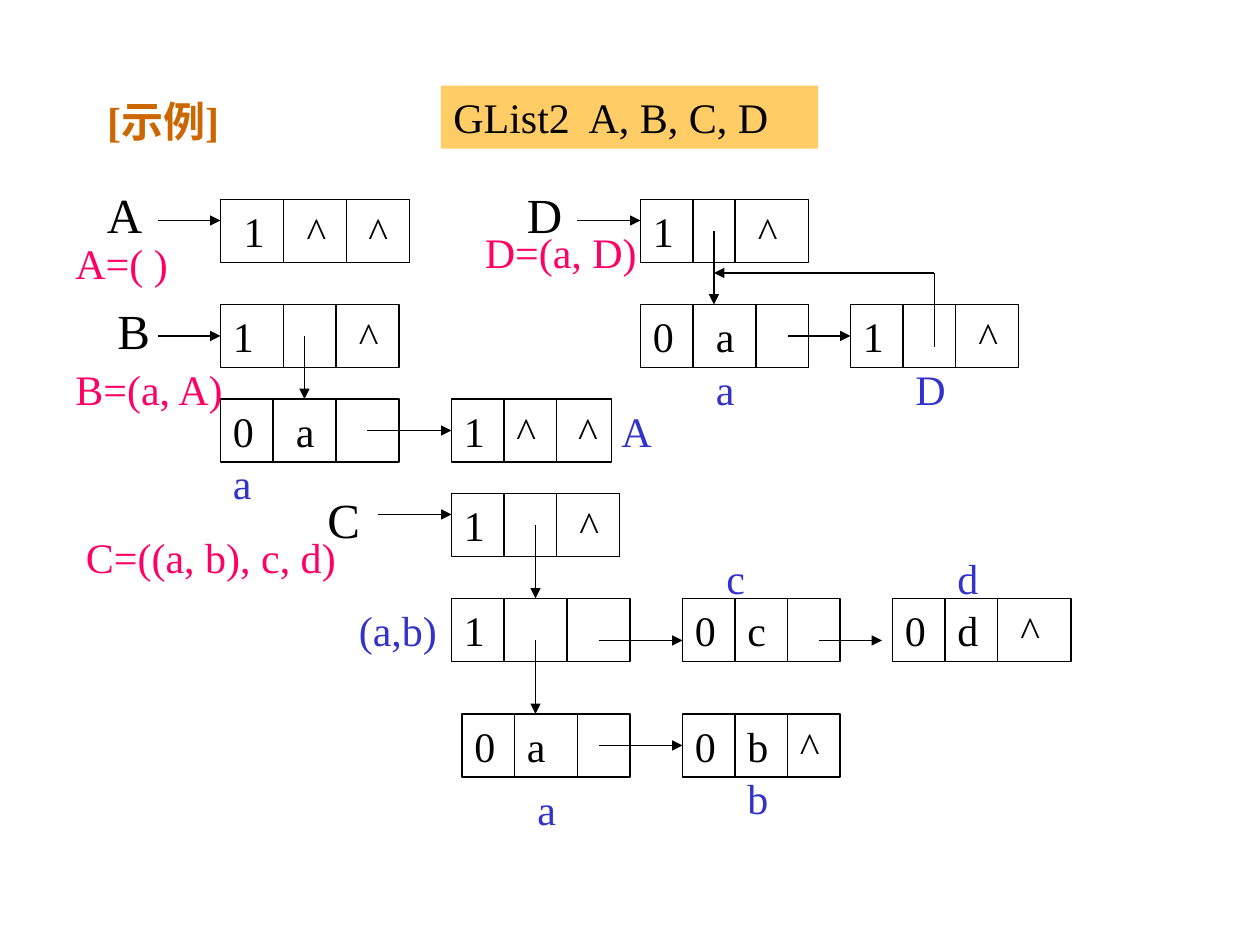
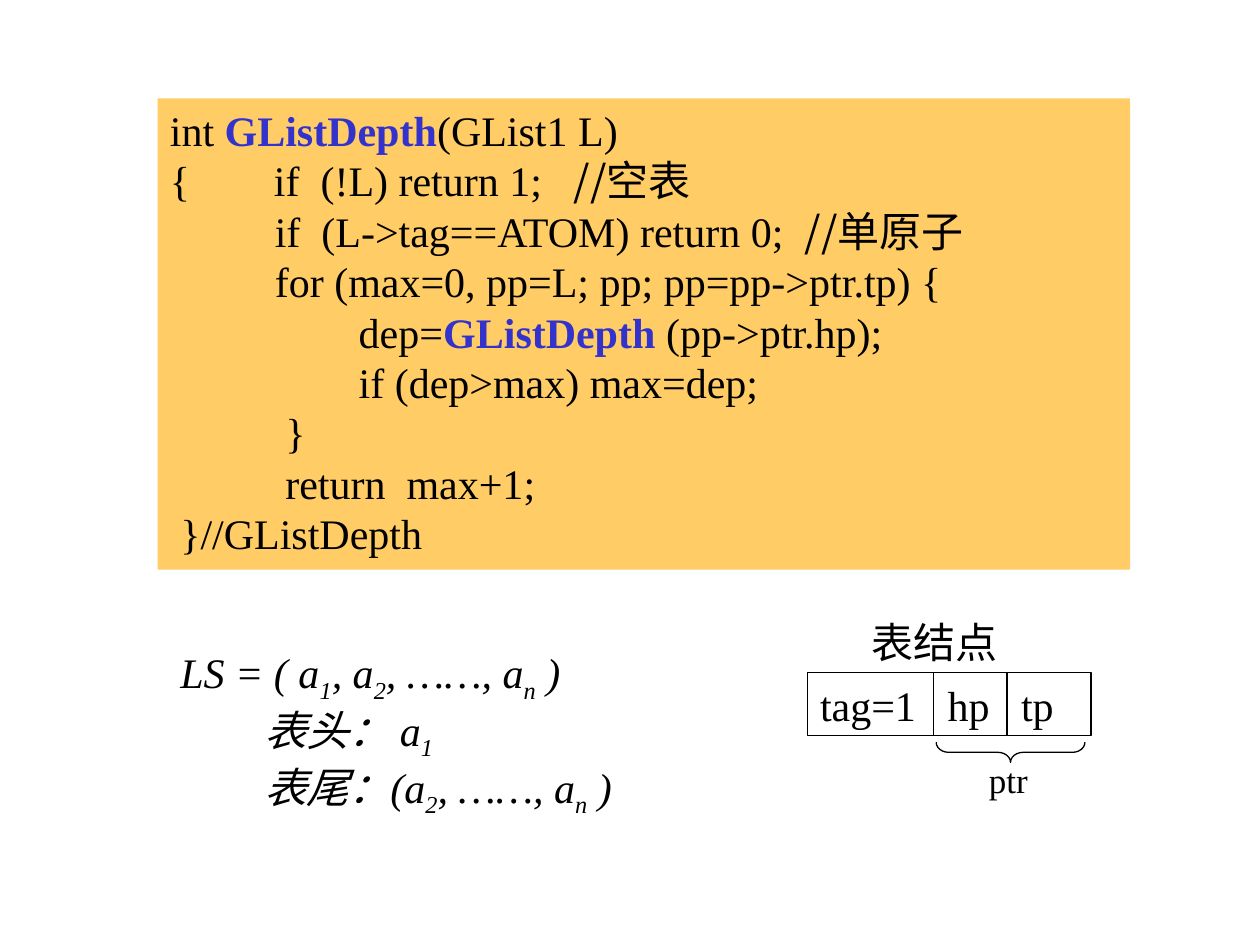
from lxml.etree import SubElement
from pptx import Presentation
from pptx.dml.color import RGBColor
from pptx.enum.shapes import MSO_CONNECTOR as Connector, MSO_SHAPE as Shape
from pptx.enum.text import MSO_ANCHOR as Anchor, PP_ALIGN as Align
from pptx.oxml.ns import qn
from pptx.util import Pt

SERIF, CJK = "Times New Roman", "Noto Sans CJK SC"
BLACK, BLUE, PINK, BROWN, AMBER = "000000", "3333CC", "FF0066", "CC6600", "FFCC66"
TITLE_ONLY, BLANK = 5, 6
LEFT_SIDE = 1
NODE_HEIGHT = 36
INSET = 7.2

# name: left, top, width, divider offsets, cells as (offset from the inset, text)
NODES = {
    "A": (126, 114, 108, (36, 72), [(6, "1"), (42, "^"), (77.3, "^")]),
    "B": (126, 174, 102, (36, 66), [(0, "1"), (72, "^")]),
    "B atom a": (126, 228, 102, (30, 66), [(0, "0"), (36, "a")]),
    "B sublist A": (258, 228, 91.5, (30, 60), [(0, "1"), (30, "^"), (65.3, "^")]),
    "C": (258, 282, 96, (30, 60), [(0, "1"), (66, "^")]),
    "C sublist": (258, 342, 102, (30, 66), [(0, "1")]),
    "C atom c": (390, 342, 90, (30, 60), [(0, "0"), (30, "c")]),
    "C atom d": (510, 342, 102, (30, 60), [(0, "0"), (30, "d"), (66, "^")]),
    "C atom a": (264, 408, 96, (30, 66), [(0, "0"), (30, "a")]),
    "C atom b": (390, 408, 90, (30, 60), [(0, "0"), (30, "b"), (60, "^")]),
    "D": (366, 114, 96, (30, 54), [(0, "1"), (60, "^")]),
    "D atom a": (366, 174, 96, (30, 66), [(0, "0"), (36, "a")]),
    "D sublist D": (486, 174, 96, (30, 60), [(0, "1"), (66, "^")]),
}
# start x, start y, node whose left side is reached
JOINED_ARROWS = [
    (90, 192, "B"), (210, 246, "B sublist A"),
    (342, 426, "C atom b"), (450, 192, "D sublist D"),
]
# start x, start y, end x, end y
FREE_ARROWS = [
    (90, 126, 126, 126), (330, 126, 366, 126), (216, 294, 258, 294),
    (342, 366, 390, 366), (468, 366, 504, 366), (534, 156, 408, 156),
    (174, 192, 174, 228), (306, 300, 306, 342),
    (306, 366, 306, 408), (408, 132, 408, 174),
]
BACK_LINK = (534, 198, 534, 156)

# colour, size, height, then labels as (text, left, top, width)
LABEL_GROUPS = [
    (BLACK, 28, 41, [
        ("A", 54, 102, 54), ("B", 60, 168, 48),
        ("C", 180, 276, 48), ("D", 294, 102, 54)]),
    (PINK, 24, 36, [
        ("A=( )", 36, 132, 84), ("B=(a, A)", 36, 204, 108),
        ("C=((a, b), c, d)", 42, 300, 168), ("D=(a, D)", 270, 126, 102)]),
    (BLUE, 24, 36, [
        ("a", 402, 204, 36), ("D", 516, 204, 42), ("a", 126, 258, 42),
        ("A", 348, 228, 42), ("(a,b)", 198, 342, 66), ("c", 408, 312, 48),
        ("d", 540, 312, 36), ("a", 300, 444, 48), ("b", 420, 438, 48)]),
]

# paragraphs of (text, style) runs
CODE = [
    [("int ", ""), ("GListDepth", "keyword"), ("(GList1 L)", "")],
    [("{        if  (!L) return 1;   ", ""), ("//空表", "cjk")],
    [("          if  (L->tag==ATOM) return 0;  ", ""), ("//单原子", "cjk")],
    [("          for (max=0, pp=L; pp; pp=pp->ptr.tp) {", "")],
    [("                  dep=", ""), ("GListDepth ", "keyword"), ("(pp->ptr.hp);", "")],
    [("                  if (dep>max) max=dep;", "")],
    [("           }", "")],
    [("           return  max+1;", "")],
    [(" }//GListDepth", "")],
]
TAIL_RUNS = [("2", "sub"), (", ……, a", ""), ("n", "sub"), (" )", "")]
LIST_FORMULAS = [
    [("LS = ( a", ""), ("1", "sub"), (", a", "")] + TAIL_RUNS,
    [("表头： a", ""), ("1", "sub")],
    [("表尾：(a", "")] + TAIL_RUNS,
]
FORMULA_INDENT = 48
LIST_NODE = (461.5, 384.5, 162, (72, 114), [(0, "tag=1"), (72.9, "hp"), (114.9, "tp")])


def rgb(value):
    return RGBColor.from_string(value)


def add_run(paragraph, text, size=24, color=BLACK, style="", italic=False):
    run = paragraph.add_run()
    run.text = text
    font = run.font
    font.size = Pt(size)
    font.bold = style in ("keyword", "title")
    font.italic = italic
    font.color.rgb = rgb(BLUE if style == "keyword" else color)
    font.name = CJK if style == "cjk" else SERIF
    properties = run._r.get_or_add_rPr()
    SubElement(properties, qn("a:ea")).set("typeface", CJK)
    if style == "sub":
        properties.set("baseline", "-25000")


def add_paragraphs(frame, paragraphs, **look):
    for index, runs in enumerate(paragraphs):
        paragraph = frame.add_paragraph() if index else frame.paragraphs[0]
        paragraph.alignment = Align.LEFT
        for text, style in runs:
            add_run(paragraph, text, style=style, **look)


def add_label(slide, text, left, top, width, height=36, size=24, color=BLACK):
    box = slide.shapes.add_textbox(Pt(left), Pt(top), Pt(width), Pt(height))
    box.text_frame.word_wrap = True
    add_paragraphs(box.text_frame, [[(text, "")]], size=size, color=color)


def add_plain_shape(slide, kind, left, top, width, height, fill=None):
    """Add an outlined shape, or a filled one without outline."""
    shape = slide.shapes.add_shape(kind, Pt(left), Pt(top), Pt(width), Pt(height))
    shape.shadow.inherit = False
    if fill:
        shape.fill.solid()
        shape.fill.fore_color.rgb = rgb(fill)
        shape.line.fill.background()
    else:
        shape.fill.background()
        shape.line.color.rgb = rgb(BLACK)
        shape.line.width = Pt(0.75)
    shape.text_frame.vertical_anchor = Anchor.TOP
    return shape


def add_code_panel(slide, paragraphs, left, top, width, height):
    panel = add_plain_shape(slide, Shape.RECTANGLE, left, top, width, height, AMBER)
    add_paragraphs(panel.text_frame, paragraphs)


def add_line(slide, start_x, start_y, end_x, end_y, arrow=False):
    line = slide.shapes.add_connector(
        Connector.STRAIGHT, Pt(start_x), Pt(start_y), Pt(end_x), Pt(end_y))
    line.line.color.rgb = rgb(BLACK)
    line.line.width = Pt(0.75)
    if arrow:
        SubElement(line.line._get_or_add_ln(), qn("a:tailEnd")).set("type", "triangle")
    SubElement(line._element.spPr, qn("a:effectLst"))
    return line


def add_node(slide, left, top, width, dividers, cells):
    """Draw a list node: one box, its dividers, and tab-aligned cell texts."""
    box = add_plain_shape(slide, Shape.RECTANGLE, left, top, width, NODE_HEIGHT)
    frame = box.text_frame
    frame.word_wrap = False
    first = cells[0][0]
    frame.margin_left = Pt(INSET + first)
    properties = frame.paragraphs[0]._p.get_or_add_pPr()
    if len(cells) > 1:
        tabs = SubElement(properties, qn("a:tabLst"))
        for offset, _ in cells[1:]:
            SubElement(tabs, qn("a:tab"), pos=str(int(Pt(offset - first))), algn="l")
    add_paragraphs(frame, [[("\t".join(text for _, text in cells), "")]])
    for offset in dividers:
        add_line(slide, left + offset, top, left + offset, top + NODE_HEIGHT)
    return box


def build_example_slide(presentation):
    slide = presentation.slides.add_slide(presentation.slide_layouts[TITLE_ONLY])
    title = slide.shapes.title
    title.left, title.top, title.width, title.height = Pt(54), Pt(48), Pt(612), Pt(42)
    title.text_frame.vertical_anchor = Anchor.MIDDLE
    add_paragraphs(title.text_frame, [[("[示例]", "title")]], color=BROWN)

    boxes = {name: add_node(slide, *node) for name, node in NODES.items()}
    for start_x, start_y, target in JOINED_ARROWS:
        arrow = add_line(slide, start_x, start_y, NODES[target][0], start_y, arrow=True)
        arrow.end_connect(boxes[target], LEFT_SIDE)
    for ends in FREE_ARROWS:
        add_line(slide, *ends, arrow=True)
    add_line(slide, *BACK_LINK)

    for color, size, height, labels in LABEL_GROUPS:
        for label in labels:
            add_label(slide, *label, height=height, size=size, color=color)
    add_code_panel(slide, [[("GList2  A, B, C, D", "")]], 252, 49, 215.5, 36)


def build_depth_slide(presentation):
    slide = presentation.slides.add_slide(presentation.slide_layouts[BLANK])
    add_code_panel(slide, CODE, 90, 56.2, 555.8, 269.3)

    add_node(slide, *LIST_NODE)
    add_label(slide, "表结点", 491, 348.5, 108)
    brace = add_plain_shape(slide, Shape.LEFT_BRACE, 571.7, 387.4, 11.5, 85)
    brace.rotation = 270
    brace.adjustments[0] = 0.624
    brace.adjustments[1] = 0.5
    add_label(slide, "ptr", 558, 430, 57, height=31, size=20)

    formulas = slide.shapes.add_textbox(Pt(96), Pt(366), Pt(304), Pt(94.3))
    formulas.text_frame.word_wrap = True
    add_paragraphs(formulas.text_frame, LIST_FORMULAS, italic=True)
    for paragraph in formulas.text_frame.paragraphs[1:]:
        paragraph._p.get_or_add_pPr().set("marL", str(int(Pt(FORMULA_INDENT))))


def main():
    presentation = Presentation()
    presentation.slide_width, presentation.slide_height = Pt(720), Pt(540)
    build_example_slide(presentation)
    build_depth_slide(presentation)
    presentation.save("out.pptx")


if __name__ == "__main__":
    main()
